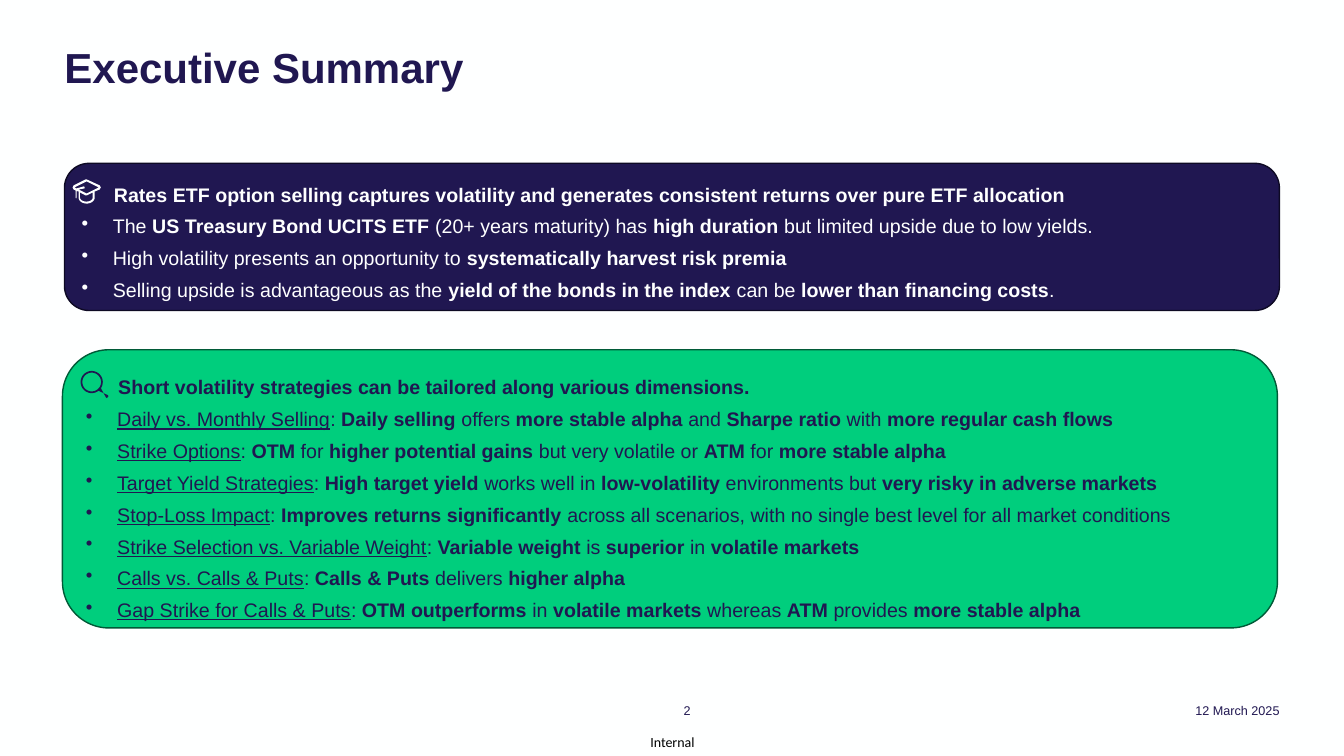
import math

import pptx
import pptx.dml.color
import pptx.enum.shapes
import pptx.enum.text
import pptx.oxml
import pptx.oxml.ns
import pptx.util

RGB = pptx.dml.color.RGBColor
Align = pptx.enum.text.PP_ALIGN
Anchor = pptx.enum.text.MSO_ANCHOR
Inches = pptx.util.Inches
Pt = pptx.util.Pt

NAVY = RGB(0x20, 0x17, 0x51)
NAVY_EDGE = RGB(0x0E, 0x0A, 0x24)
GREEN = RGB(0x00, 0xCE, 0x7D)
GREEN_EDGE = RGB(0x00, 0x5A, 0x37)
OFF_WHITE = RGB(0xFE, 0xFF, 0xFF)
BLACK = RGB(0, 0, 0)

WIDTH, HEIGHT = Inches(13.33), Inches(7.5)
CELL = Inches(0.01)  # one cell of the icon grid
INDENT = Inches(0.31)

# Asterisks enclose bold words, underscores enclose underlined words
RATES_HEADING = "*Rates ETF option selling captures volatility and generates consistent returns over pure ETF allocation*"
RATES_POINTS = [
    "The *US Treasury Bond UCITS ETF *(20+ years maturity) has *high duration *but limited upside due to low yields.",
    "High volatility presents an opportunity to *systematically harvest risk premia*",
    "Selling upside is advantageous as the *yield of the bonds in the index *can be *lower than financing costs*.",
]
STRATEGY_HEADING = "*Short volatility strategies can be tailored along various dimensions.*"
STRATEGY_POINTS = [
    "_Daily vs. Monthly Selling_: *Daily selling *offers *more stable alpha *and *Sharpe ratio *with *more regular cash flows*",
    "_Strike Options_: *OTM* for *higher potential gains *but very volatile or *ATM* for *more stable alpha*",
    "_Target Yield Strategies_: *High target yield* works well in *low-volatility* environments but *very risky in adverse markets*",
    "_Stop-Loss Impact_: *Improves returns significantly *across all scenarios, with no single best level for all market conditions",
    "_Strike Selection vs. Variable Weight_: *Variable weight *is *superior* in *volatile markets*",
    "_Calls vs. Calls & Puts_: *Calls & Puts* delivers *higher alpha*",
    "_Gap Strike for Calls & Puts_: *OTM outperforms *in *volatile markets *whereas *ATM* provides *more stable alpha*",
]


def area(left, top, width, height):
    """Turn percentages of the slide's size into a box."""
    return tuple(int(share * side / 100) for share, side in
                 zip((left, top, width, height), (WIDTH, HEIGHT, WIDTH, HEIGHT)))


def write(para, text, size=14, color=NAVY, font="Arial", align=Align.LEFT,
          spacing=1.1, after=0, indent=0, bullet=False):
    para.alignment = align
    para.line_spacing = spacing
    para.space_before, para.space_after = Pt(0), Pt(after)
    properties = para._p.get_or_add_pPr()
    properties.set("marL", str(int(indent)))
    properties.set("indent", str(-int(indent) if bullet else 0))
    if bullet:
        mark = pptx.oxml.parse_xml(
            '<a:buChar %s char="•"/>' % pptx.oxml.ns.nsdecls("a"))
        properties.append(mark)
    for order, piece in enumerate(text.split("*")):
        for part, words in enumerate(piece.split("_")):
            if words:
                span = para.add_run()
                span.text = words
                span.font.name, span.font.size = font, Pt(size)
                span.font.color.rgb = color
                span.font.bold = order % 2 == 1
                span.font.underline = part % 2 == 1


def set_frame(shape, insets, anchor):
    frame = shape.text_frame
    frame.word_wrap = True
    frame.vertical_anchor = anchor
    (frame.margin_left, frame.margin_top,
     frame.margin_right, frame.margin_bottom) = map(Inches, insets)
    return frame


def add_label(page, box, text, anchor=Anchor.BOTTOM, top_inset=0, **style):
    label = page.shapes.add_textbox(*box)
    frame = set_frame(label, (0, top_inset, 0, 0), anchor)
    write(frame.paragraphs[0], text, **style)


def add_panel(page, box, heading, points, fill, edge, ink):
    kind = pptx.enum.shapes.MSO_SHAPE.ROUNDED_RECTANGLE
    panel = page.shapes.add_shape(kind, *box)
    panel.shadow.inherit = False
    panel.fill.solid()
    panel.fill.fore_color.rgb = fill
    panel.line.color.rgb = edge
    panel.line.width = Pt(1)
    frame = set_frame(panel, (0.1, 0.05, 0.1, 0.09), Anchor.TOP)
    style = dict(color=ink, spacing=1.3, after=0.9)
    write(frame.paragraphs[0], heading, indent=Inches(0.32), **style)
    for point in points:
        write(frame.add_paragraph(), point, indent=INDENT, bullet=True, **style)


def arc(center_x, center_y, radius_x, radius_y, start, end, steps=24):
    angles = [math.radians(start + (end - start) * step / steps)
              for step in range(steps + 1)]
    return [(center_x + radius_x * math.cos(angle),
             center_y + radius_y * math.sin(angle)) for angle in angles]


def add_icon(page, box, offset, outlines, color):
    """Draw closed outlines, given in icon cells, offset from the box's corner."""
    builder = None
    for outline in outlines:
        points = [(x * CELL, y * CELL) for x, y in outline]
        if builder is None:
            builder = page.shapes.build_freeform(*points[0], scale=1.0)
        else:
            builder.move_to(*points[0])
        builder.add_line_segments(points[1:], close=True)
    icon = builder.convert_to_shape(box[0] + offset[0] * CELL,
                                    box[1] + offset[1] * CELL)
    icon.shadow.inherit = False
    icon.fill.solid()
    icon.fill.fore_color.rgb = color
    icon.line.fill.background()


def add_graduation_cap(page, box):
    outer = [(27, 6), (14, 0), (13, 0), (1, 6), (0, 8), (1, 10), (3, 11),
             (3, 18), (3.5, 19), (4, 18), (4, 11.5), (6, 12)]
    outer += arc(14, 18, 8, 6, 180, 0) + [(22, 12), (27, 10), (28, 8)]
    bowl = arc(13.7, 18, 6.3, 4, 0, 180) + [(7.4, 13), (13, 16), (14, 16), (20, 13)]
    board = [(14, 14), (6, 10), (12, 9), (12, 7.5), (11, 7), (4, 9),
             (2, 8), (14, 2), (26, 8)]
    add_icon(page, box, (8, 16), [outer, bowl, board], OFF_WHITE)


def add_magnifier(page, box):
    handle = [(25, 26), (26, 27), (27, 26), (27.5, 25), (27, 24)]
    outer = arc(11, 11, 11, 11, 52, 394, 48) + handle
    lens = arc(11, 11, 9.3, 9.3, 0, 360, 48)
    add_icon(page, box, (18, 21), [outer, lens], NAVY)


def add_footer(page):
    add_label(page, area(47.26, 96.13, 5.55, 3.87), "Internal", Anchor.MIDDLE,
              size=10, font="Calibri", color=BLACK, align=Align.CENTER)
    add_label(page, area(83.95, 92.67, 11.25, 2.27), "12 March 2025",
              size=9, align=Align.RIGHT)
    add_label(page, area(50.86, 92.67, 7.13, 2.27), "2", size=9)


def add_summary(deck):
    page = deck.slides.add_slide(deck.slide_layouts[6])
    page.background.fill.solid()
    page.background.fill.fore_color.rgb = OFF_WHITE
    # Title
    add_label(page, area(4.8, 5.33, 90.4, 6.8), "*Executive Summary*",
              Anchor.TOP, 0.05, size=30, spacing=Pt(33))
    # Panels with their icons
    rates_box = area(4.8, 21.6, 90.4, 19.47)
    add_panel(page, rates_box, RATES_HEADING, RATES_POINTS,
              NAVY, NAVY_EDGE, OFF_WHITE)
    add_graduation_cap(page, rates_box)
    strategy_box = area(4.65, 46.27, 90.4, 36.8)
    add_panel(page, strategy_box, STRATEGY_HEADING, STRATEGY_POINTS,
              GREEN, GREEN_EDGE, NAVY)
    add_magnifier(page, strategy_box)
    add_footer(page)


def main():
    deck = pptx.Presentation()
    deck.slide_width, deck.slide_height = WIDTH, HEIGHT
    add_summary(deck)
    deck.save("out.pptx")


if __name__ == "__main__":
    main()
